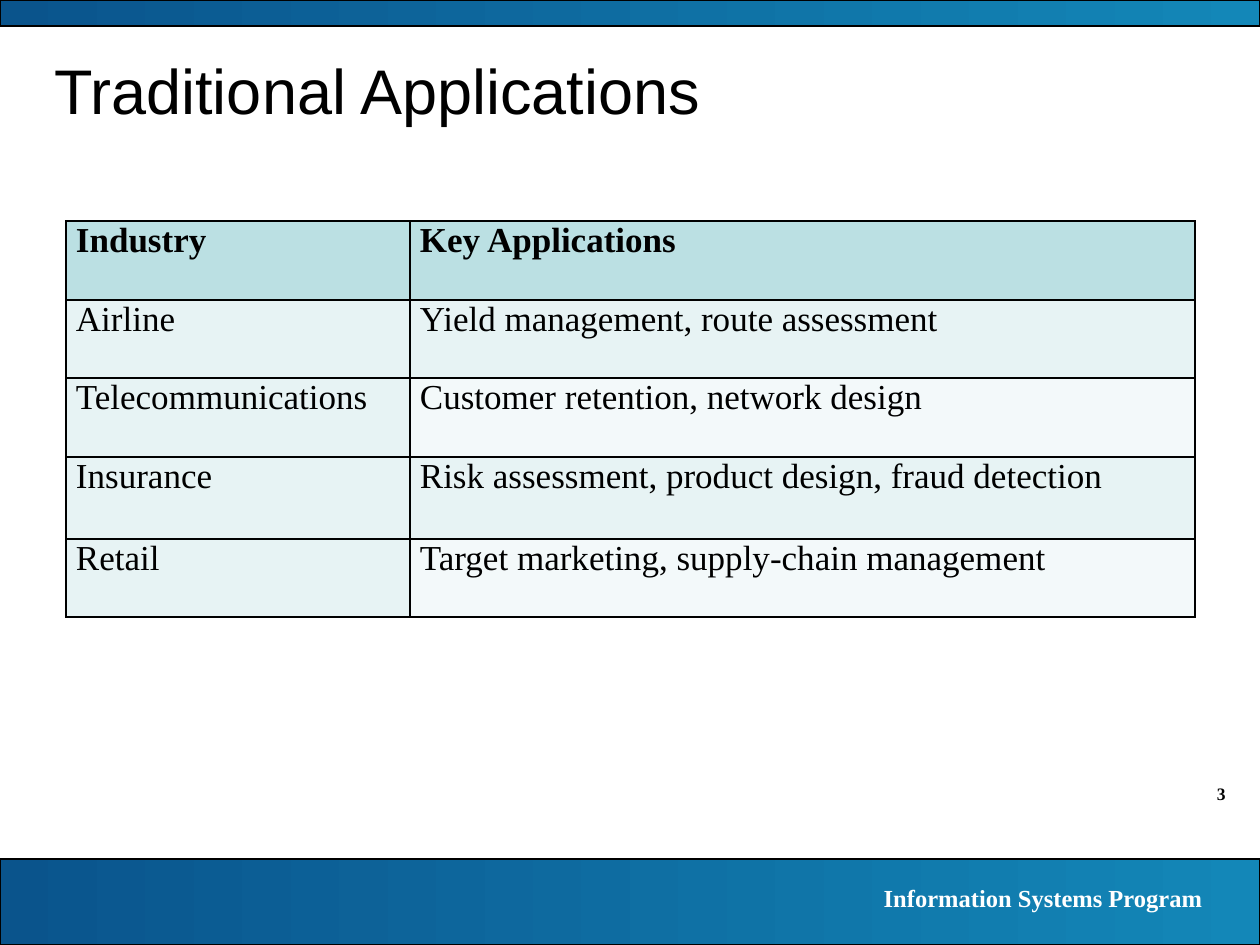
from lxml.etree import SubElement
from pptx import Presentation
from pptx.dml.color import RGBColor
from pptx.enum.shapes import MSO_SHAPE
from pptx.enum.text import MSO_ANCHOR, PP_ALIGN
from pptx.oxml.ns import qn
from pptx.util import Pt

EMU_PER_PX = 914400 / 126
SLIDE_WIDTH, SLIDE_HEIGHT = 1260, 945

COLORS = {
    "ink": "000000",
    "white": "FFFFFF",
    "bar_start": "0A548C",
    "bar_end": "1387B8",
    "header": "BBE0E3",
    "band": "E7F3F4",
    "light_band": "F3F9FA",
}
FORMATS = {
    "title": {"name": "Arial", "size": Pt(36), "bold": False},
    "header": {"name": "Times New Roman", "size": Pt(20), "bold": True},
    "body": {"name": "Times New Roman", "size": Pt(20), "bold": False},
    "program": {"name": "Times New Roman", "size": Pt(14), "bold": True},
    "page_number": {"name": "Times New Roman", "size": Pt(10), "bold": True},
}
APPLICATIONS = [
    ("Industry", "Key Applications"),
    ("Airline", "Yield management, route assessment"),
    ("Telecommunications", "Customer retention, network design"),
    ("Insurance", "Risk assessment, product design, fraud detection"),
    ("Retail", "Target marketing, supply-chain management"),
]
COLUMN_WIDTHS = [344, 785]
ROW_HEIGHTS = [79, 78, 79, 82, 78]


def px(*lengths):
    return [round(length * EMU_PER_PX) for length in lengths]


def rgb(color):
    return RGBColor.from_string(COLORS[color])


class SlideBuilder:
    def __init__(self, slide):
        self.slide = slide

    def add_words(self, frame, words, style, color="ink",
                  align=PP_ALIGN.LEFT):
        paragraph = frame.paragraphs[0]
        paragraph.alignment = align
        run = paragraph.add_run()
        run.text = words
        for attribute, value in FORMATS[style].items():
            setattr(run.font, attribute, value)
        run.font.color.rgb = rgb(color)

    def text(self, box, words, style, anchor=MSO_ANCHOR.TOP, **look):
        frame = self.slide.shapes.add_textbox(*px(*box)).text_frame
        frame.word_wrap = True
        frame.vertical_anchor = anchor
        self.add_words(frame, words, style, **look)

    def bar(self, top, height):
        bar = self.slide.shapes.add_shape(
            MSO_SHAPE.RECTANGLE, *px(0, top, SLIDE_WIDTH, height))
        bar.shadow.inherit = False
        bar.fill.gradient()
        bar.fill.gradient_angle = 0
        for stop, position, color in zip(
                bar.fill.gradient_stops, (0, 1), ("bar_start", "bar_end")):
            stop.position = position
            stop.color.rgb = rgb(color)
        bar.line.color.rgb = rgb("ink")
        bar.line.width = Pt(0.75)

    def table(self, left, top, rows):
        table = self.slide.shapes.add_table(
            len(rows), len(COLUMN_WIDTHS),
            *px(left, top, sum(COLUMN_WIDTHS), sum(ROW_HEIGHTS))).table
        for column, width in zip(table.columns, px(*COLUMN_WIDTHS)):
            column.width = width
        for row, height in zip(table.rows, px(*ROW_HEIGHTS)):
            row.height = height
        for row_index, entries in enumerate(rows):
            for column_index, words in enumerate(entries):
                self.cell(table.cell(row_index, column_index), words,
                          row_index, column_index)

    def cell(self, cell, words, row_index, column_index):
        margins = {"margin_left": 10, "margin_right": 10,
                   "margin_top": 0, "margin_bottom": 0}
        for attribute, margin in margins.items():
            setattr(cell, attribute, px(margin)[0])
        self.add_words(cell.text_frame, words,
                       "body" if row_index else "header")
        self.borders(cell)
        if row_index == 0:
            color = "header"
        elif column_index and row_index % 2 == 0:
            color = "light_band"
        else:
            color = "band"
        cell.fill.solid()
        cell.fill.fore_color.rgb = rgb(color)

    def borders(self, cell):
        """Rule all four sides; must run before the cell is filled."""
        properties = cell._tc.get_or_add_tcPr()
        for side in ("a:lnL", "a:lnR", "a:lnT", "a:lnB"):
            line = SubElement(properties, qn(side), w=str(Pt(1)))
            fill = SubElement(line, qn("a:solidFill"))
            SubElement(fill, qn("a:srgbClr"), val=COLORS["ink"])


def main():
    presentation = Presentation()
    presentation.slide_width, presentation.slide_height = px(
        SLIDE_WIDTH, SLIDE_HEIGHT)
    builder = SlideBuilder(
        presentation.slides.add_slide(presentation.slide_layouts[6]))

    builder.text((1134, 777, 104, 34), "3", "page_number",
                 align=PP_ALIGN.RIGHT)
    builder.bar(859, 86)
    builder.bar(0, 26)
    builder.text((699, 877, 516, 43), "Information Systems Program", "program",
                 color="white", align=PP_ALIGN.RIGHT)
    builder.text((42, 42, 1155, 94), "Traditional Applications", "title",
                 anchor=MSO_ANCHOR.MIDDLE)
    builder.table(66, 221, APPLICATIONS)
    presentation.save("out.pptx")


if __name__ == "__main__":
    main()
